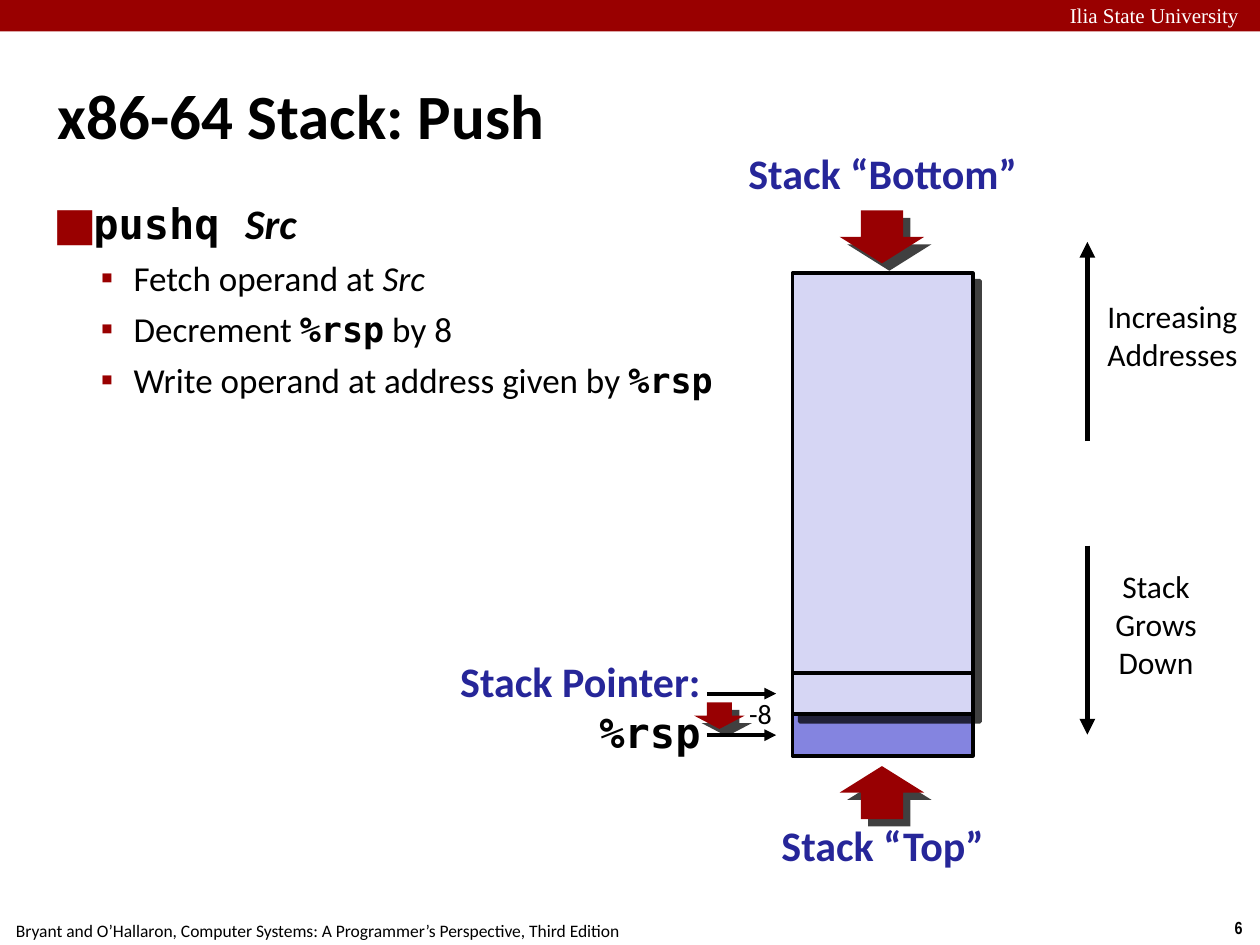
from lxml.etree import SubElement as Sub
from pptx import Presentation
from pptx.dml.color import RGBColor as RGB
from pptx.enum.shapes import MSO_CONNECTOR as Conn, MSO_SHAPE as Kind
from pptx.enum.text import MSO_ANCHOR as Anchor, PP_ALIGN as Align
from pptx.oxml.ns import qn
from pptx.util import Inches, Pt

BLACK = RGB(0, 0, 0)
WHITE = RGB(0xFF, 0xFF, 0xFF)
CRIMSON = RGB(0x99, 0, 0)
RED = RGB(0x98, 0, 0x02)
NAVY = RGB(0x26, 0x26, 0x99)
LILAC = RGB(0xD6, 0xD6, 0xF4)
VIOLET = RGB(0x84, 0x84, 0xE0)

THIN, THICK = 2.25, 3
MONO = {"name": "DejaVu Sans Mono", "bold": True}
SLANT = {"italic": True}
HEAD = {"size": Pt(24), "bold": True, "color": NAVY}
SIDE = {"size": Pt(18)}
SMALL = {"size": Pt(10)}


def style(run, form):
    form = {"name": "Calibri", "color": BLACK, **form}
    run.font.color.rgb = form.pop("color")
    for key, value in form.items():
        setattr(run.font, key, value)


def fill_para(para, runs, base, align=Align.LEFT):
    """Add (text, format) runs, each format laid over the base one."""
    para.alignment = align
    for text, form in runs:
        run = para.add_run()
        run.text = text
        style(run, {**base, **form})


def add_text(slide, box, lines, base, align=Align.LEFT, pad=(0, 0),
             wrap=True, anchor=Anchor.TOP):
    """Lines are lists of runs; pad is the horizontal and vertical inset."""
    frame = slide.shapes.add_textbox(*map(Inches, box)).text_frame
    frame.word_wrap = wrap
    frame.vertical_anchor = anchor
    frame.margin_left = frame.margin_right = Inches(pad[0])
    frame.margin_top = frame.margin_bottom = Inches(pad[1])
    for i, runs in enumerate(lines):
        para = frame.add_paragraph() if i else frame.paragraphs[0]
        fill_para(para, runs, base, align)
    return frame


def indent(para, left, hang):
    props = para._p.get_or_add_pPr()
    props.set("marL", str(Inches(left)))
    props.set("indent", str(-Inches(hang)))
    return props


def add_bullet(para, char, font, scale, left, hang):
    """Scale is the bullet size as a percentage of the text."""
    props = indent(para, left, hang)
    tint = Sub(props, qn("a:buClr"))
    Sub(tint, qn("a:srgbClr"), val=str(CRIMSON))
    Sub(props, qn("a:buSzPct"), val=str(scale * 1000))
    Sub(props, qn("a:buFont"), typeface=font)
    Sub(props, qn("a:buChar"), char=char)


def add_shadow(shape):
    effects = shape._element.spPr.find(qn("a:effectLst"))
    drop = Sub(effects, qn("a:outerShdw"), blurRad="0", dist=str(Pt(6)),
               dir="2700000", algn="ctr", rotWithShape="0")
    tint = Sub(drop, qn("a:srgbClr"), val=str(BLACK))
    Sub(tint, qn("a:alpha"), val="75000")


def add_block(slide, kind, box, fill, edge=None, shade=False):
    shape = slide.shapes.add_shape(kind, *map(Inches, box))
    shape.shadow.inherit = False
    shape.fill.solid()
    shape.fill.fore_color.rgb = fill
    if edge:
        shape.line.color.rgb = BLACK
        shape.line.width = Pt(edge)
    else:
        shape.line.fill.background()
    if shade:
        add_shadow(shape)


def add_line(slide, start, end, width, arrow=True):
    line = slide.shapes.add_connector(Conn.STRAIGHT, *map(Inches, start + end))
    line.line.color.rgb = BLACK
    line.line.width = Pt(width)
    if arrow:
        Sub(line.line._get_or_add_ln(), qn("a:tailEnd"), type="triangle")
    Sub(line._element.spPr, qn("a:effectLst"))


def add_frame(slide, wide, high):
    """Top bar, footer and page number."""
    add_block(slide, Kind.RECTANGLE, (0, 0, wide, 0.25), CRIMSON)
    add_text(slide, (wide - 1.51, 0.02, 1.78, 0.19),
             [[("Ilia State University", {})]],
             {"name": "Times New Roman", "size": Pt(12), "color": WHITE})
    source = ("Bryant and O’Hallaron, Computer Systems: "
              "A Programmer’s Perspective, Third Edition")
    add_text(slide, (-0.02, high - 0.25, 5.08, 0.27), [[(source, {})]],
             SMALL, Align.CENTER, (0.1, 0.05))
    add_text(slide, (wide - 0.34, high - 0.27, 0.34, 0.27), [[("6", {})]],
             {**SMALL, "name": "Arial Narrow", "bold": True},
             Align.CENTER, (0.1, 0.05))


def add_title(slide, box):
    frame = add_text(slide, box, [[("x86-64 Stack: Push", {})]],
                     {"size": Pt(36), "bold": True}, pad=(0.04, 0.04),
                     anchor=Anchor.MIDDLE)
    indent(frame.paragraphs[0], 0.13, 0.13)


def add_body(slide, box):
    big = {"size": Pt(24), "bold": True}
    lines = [
        [("pushq ", {**big, **MONO}), ("Src", {**big, **SLANT})],
        [("Fetch operand at ", {}), ("Src", SLANT)],
        [("Decrement ", {}), ("%rsp", MONO), (" by 8", {})],
        [("Write operand at address given by ", {}), ("%rsp", MONO)],
    ]
    frame = add_text(slide, box, lines, {"size": Pt(20)}, pad=(0.04, 0.04))
    first, *rest = frame.paragraphs
    add_bullet(first, "■", MONO["name"], 140, 0.28, 0.28)
    for para in rest:
        para.level = 1
        para.space_before = Pt(5)
        add_bullet(para, "▪", "Calibri", 100, 0.6, 0.26)


def add_stack(slide, box):
    """Memory column with one more cell below it, and its end labels."""
    x, y, w, h = box
    cell, base = 0.33, y + h
    mid = x + w / 2
    add_block(slide, Kind.RECTANGLE, (x, base, w, cell), VIOLET, THIN)
    add_pointer(slide, (x - 0.68, base - cell / 2, 0.55, cell))
    add_block(slide, Kind.RECTANGLE, box, LILAC, THIN, True)
    add_line(slide, (x, base - cell), (x + w, base - cell), THIN, False)
    ends = [("Stack “Bottom”", 2.23, y - 1, Kind.DOWN_ARROW, y - 0.5),
            ("Stack “Top”", 1.7, base + 0.83, Kind.UP_ARROW, base + 0.41)]
    for text, wide, top, kind, tip in ends:
        add_text(slide, (mid - wide / 2, top, wide, 0.49), [[(text, {})]],
                 HEAD, Align.CENTER)
        add_block(slide, kind, (mid - 0.34, tip, 0.67, 0.42), RED, shade=True)


def add_pointer(slide, box):
    """Old and new pointer positions, the step between them and the label."""
    x, y, w, h = box
    add_text(slide, (x + 0.29, y - 0.02, 0.27, 0.35), [[("-8", {})]],
             {"size": Pt(16)}, Align.CENTER, (0.04, 0.04), False)
    add_block(slide, Kind.DOWN_ARROW, (x - 0.1, y + 0.07, 0.4, 0.21), RED,
              shade=True)
    for level in (y, y + h):
        add_line(slide, (x, level), (x + w, level), THIN)
    add_text(slide, (x - 2.83, y - 0.3, 2.78, 0.4),
             [[("Stack Pointer: ", {}), ("%rsp", {**MONO, "color": BLACK})]],
             HEAD, Align.RIGHT)


def add_axis(slide, box):
    """Arrows for rising addresses and for the growth of the stack."""
    x, y, w, h = box
    add_line(slide, (x, y + 1.58), (x, y), THICK)
    add_line(slide, (x, y + h - 1.5), (x, y + h), THICK)
    notes = [(("Increasing", "Addresses"), 0.11, 0.44, w - 0.11, 0.69),
             (("Stack Grows", "Down"), 0.1, 2.58, 0.89, 1)]
    for words, left, top, wide, high in notes:
        add_text(slide, (x + left, y + top, wide, high),
                 [[(word, {})] for word in words], SIDE, Align.CENTER)


def main():
    deck = Presentation()
    deck.slide_width, deck.slide_height = Inches(10), Inches(7.5)
    slide = deck.slides.add_slide(deck.slide_layouts[6])
    add_frame(slide, 10, 7.5)
    add_title(slide, (0.42, 0.28, 9.17, 1.25))
    add_body(slide, (0.42, 1.53, 9.17, 5.94))
    add_stack(slide, (6.29, 2.17, 1.43, 3.5))
    add_axis(slide, (8.63, 1.92, 1.24, 3.91))
    deck.save("out.pptx")


if __name__ == "__main__":
    main()
